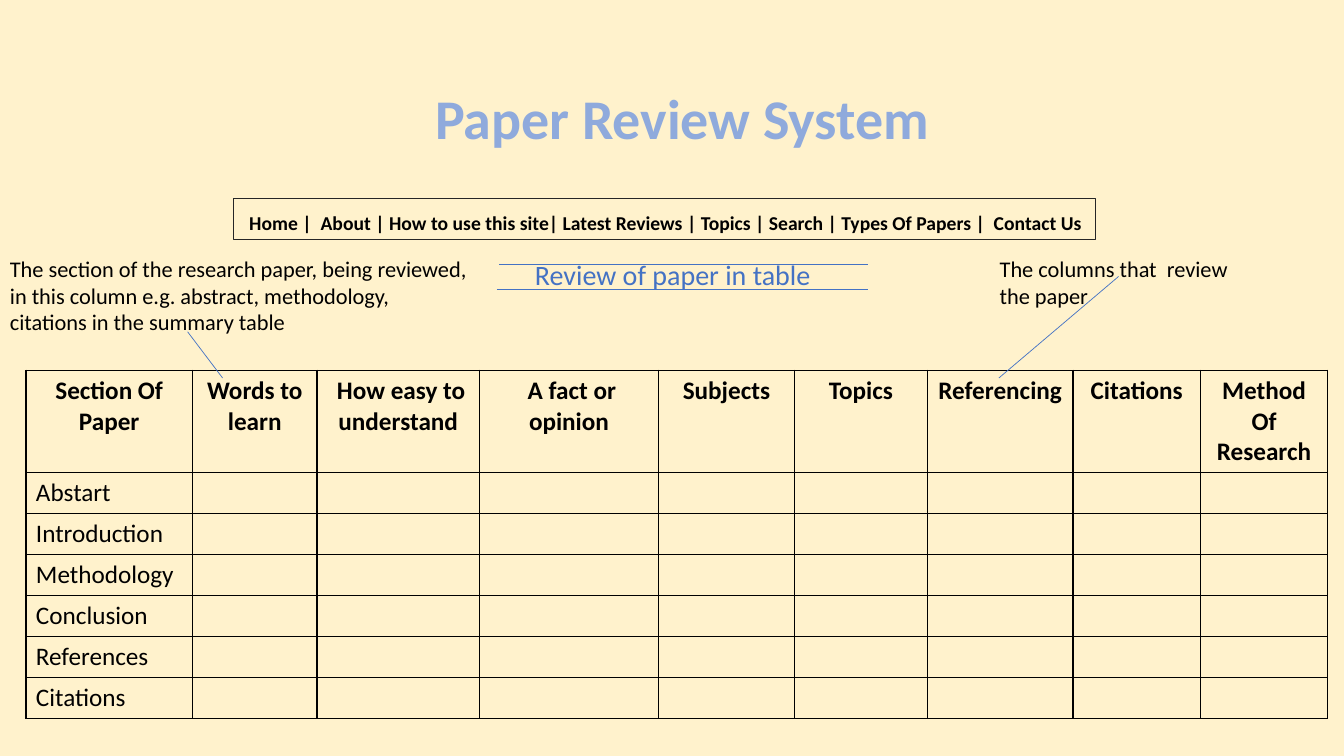
from lxml.etree import SubElement
from pptx import Presentation
from pptx.dml.color import RGBColor
from pptx.enum.shapes import MSO_CONNECTOR, MSO_SHAPE
from pptx.enum.text import MSO_ANCHOR, PP_ALIGN
from pptx.oxml import parse_xml
from pptx.oxml.ns import nsdecls, qn
from pptx.util import Pt

CREAM, BLUE, PALE, BLACK, DARK = "FFF2CC", "4472C4", "8FAADC", "000000", "262626"

HEADS = ["Section Of Paper", "Words to learn", " How easy to understand",
         " A fact or opinion", "Subjects", "Topics", "Referencing",
         "Citations", "Method Of Research"]
PARTS = ["Abstart", "Introduction", "Methodology", "Conclusion",
         "References", "Citations"]
WIDTHS = [119, 89, 116, 128, 97, 95, 104, 91, 91]
HEAD_TALL, ROW_TALL = 73, 29.3

NOTES = [
    ("The columns that  review the paper", (707, 178.5, 185, 45), 16, BLACK),
    ("The section of the research paper, being reviewed, in this column "
     "e.g. abstract, methodology, citations in the summary table",
     (0, 178.5, 343, 65.5), 16, BLACK),
    ("Review of paper in table", (375, 180.5, 215, 31.5), 20, BLUE),
]
LINES = [(713.5, 270, 799, 197.5), (159, 270, 134, 237),
         (356.5, 188.5, 620, 188.5), (355, 206.5, 620, 206.5)]


def hue(code):
    return RGBColor.from_string(code)


def paint(shape, code):
    shape.fill.solid()
    shape.fill.fore_color.rgb = hue(code)


def write(frame, text, size, code, bold=False, align=PP_ALIGN.LEFT):
    frame.text = text
    frame.word_wrap = True
    for para in frame.paragraphs:
        para.alignment = align
        font = para.font
        if para.runs:
            font = para.runs[0].font
        font.name = "Calibri"
        font.size = Pt(size)
        font.bold = bold
        font.color.rgb = hue(code)


def add_title(slide):
    title = slide.shapes.title
    title.left, title.top = Pt(302.5), Pt(56)
    title.width, title.height = Pt(369.5), Pt(55.5)
    paint(title, CREAM)
    frame = title.text_frame
    write(frame, "Paper Review System", 40, PALE, True, PP_ALIGN.CENTER)
    frame.vertical_anchor = MSO_ANCHOR.MIDDLE
    edge = parse_xml(
        f'<a:ln {nsdecls("a")} w="{Pt(0.8)}"><a:solidFill>'
        f'<a:srgbClr val="{BLUE}"/></a:solidFill></a:ln>')
    frame.paragraphs[0].runs[0].font._element.insert(0, edge)


def add_menu(slide):
    menu = slide.shapes.add_shape(
        MSO_SHAPE.RECTANGLE, Pt(167), Pt(142), Pt(615.5), Pt(29))
    menu.shadow.inherit = False
    paint(menu, CREAM)
    menu.line.color.rgb = hue(DARK)
    menu.line.width = Pt(1)
    frame = menu.text_frame
    write(frame, "Home |  About | How to use this site| Latest Reviews | Topics"
          " | Search | Types Of Papers |  Contact Us", 14, BLACK, True)
    frame.vertical_anchor = MSO_ANCHOR.MIDDLE
    frame.margin_left, frame.margin_right = Pt(11), Pt(0)
    frame.margin_top, frame.margin_bottom = Pt(6), Pt(1)


def add_note(slide, text, spot, size, code):
    note = slide.shapes.add_textbox(*map(Pt, spot))
    write(note.text_frame, text, size, code)


def add_line(slide, ends):
    line = slide.shapes.add_connector(MSO_CONNECTOR.STRAIGHT, *map(Pt, ends))
    line.line.color.rgb = hue(BLUE)
    line.line.width = Pt(0.5)
    SubElement(line._element.spPr, qn("a:effectLst"))


def add_edges(cell):
    props = cell._tc.get_or_add_tcPr()
    for spot, side in enumerate(("lnL", "lnR", "lnT", "lnB")):
        props.insert(spot, parse_xml(
            f'<a:{side} {nsdecls("a")} w="{Pt(1)}"><a:solidFill>'
            f'<a:srgbClr val="{BLACK}"/></a:solidFill></a:{side}>'))


def add_grid(slide):
    rows = [HEADS] + [[part] + [""] * (len(HEADS) - 1) for part in PARTS]
    tall = HEAD_TALL + ROW_TALL * len(PARTS)
    grid = slide.shapes.add_table(
        len(rows), len(HEADS), Pt(18.5), Pt(264.5),
        Pt(sum(WIDTHS)), Pt(tall)).table
    grid.first_row = grid.horz_banding = False
    for col, width in zip(grid.columns, WIDTHS):
        col.width = Pt(width)
    for r, texts in enumerate(rows):
        head = r == 0
        grid.rows[r].height = Pt(HEAD_TALL if head else ROW_TALL)
        align = PP_ALIGN.CENTER if head else PP_ALIGN.LEFT
        for c, text in enumerate(texts):
            cell = grid.cell(r, c)
            paint(cell, CREAM)
            write(cell.text_frame, text, 18, BLACK, head, align)
            add_edges(cell)


def main():
    deck = Presentation()
    deck.slide_width, deck.slide_height = Pt(960), Pt(540)
    slide = deck.slides.add_slide(deck.slide_layouts[5])
    paint(slide.background, CREAM)
    add_grid(slide)
    add_title(slide)
    add_menu(slide)
    for note in NOTES:
        add_note(slide, *note)
    for ends in LINES:
        add_line(slide, ends)
    deck.save("out.pptx")


main()
